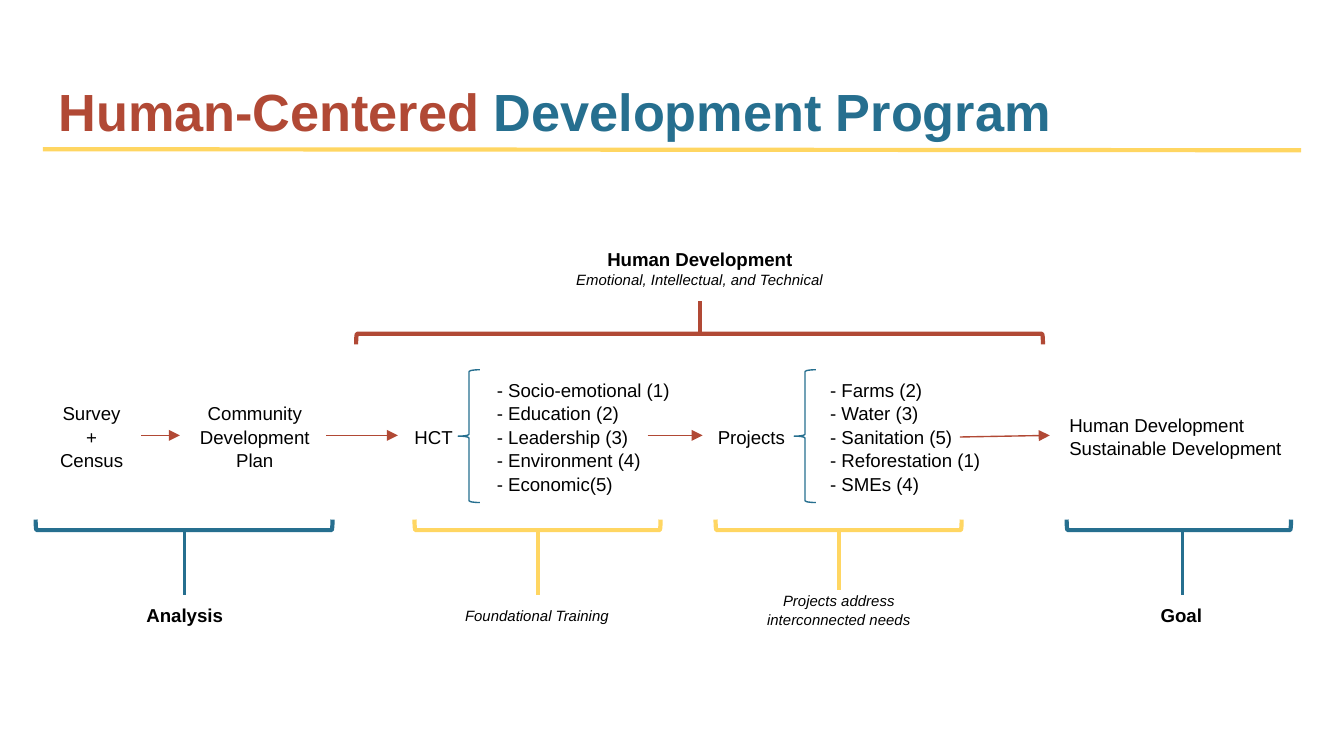
from dataclasses import dataclass

from pptx import Presentation
from pptx import util as u
from pptx.dml.color import RGBColor
from pptx.enum import shapes, text
from pptx.oxml import ns, xmlchemy


@dataclass(frozen=True)
class Theme:
    font: str = "Arial"
    black: str = "000000"
    red: str = "B14935"
    blue: str = "266F8F"
    yellow: str = "FFD662"
    title_size: int = 28
    body_size: int = 10
    note_size: int = 8
    thin: float = 0.75
    medium: float = 1.5
    thick: float = 2.25
    line_spacing: float = 1.05


THEME = Theme()
ROW_TOP, ROW_HEIGHT = 7.37, 1.75
FLOW_Y = 8.23
LOWER_BRACKET_Y = 9.92


def style_run(run, size, color=THEME.black, bold=False, italic=False):
    run.font.name = THEME.font
    run.font.size = u.Pt(size)
    run.font.color.rgb = RGBColor.from_string(color)
    run.font.bold = bold
    run.font.italic = italic


def style_line(shape, color, width):
    shape.line.color.rgb = RGBColor.from_string(color)
    shape.line.width = u.Pt(width)


def add_text(slide, left, top, width, height, content, centered=True,
             size=THEME.body_size, bold=False, italic=False):
    box = slide.shapes.add_textbox(u.Cm(left), u.Cm(top), u.Cm(width), u.Cm(height))
    frame = box.text_frame
    frame.word_wrap = True
    frame.vertical_anchor = text.MSO_ANCHOR.MIDDLE
    frame.margin_left = frame.margin_right = u.Cm(0.25)
    frame.margin_top = frame.margin_bottom = u.Cm(0.25)
    frame.text = content
    for paragraph in frame.paragraphs:
        paragraph.alignment = text.PP_ALIGN.CENTER if centered else text.PP_ALIGN.LEFT
        paragraph.line_spacing = THEME.line_spacing
        for run in paragraph.runs:
            style_run(run, size, bold=bold, italic=italic)
    return frame


def add_line(slide, start, end, color, width, arrow=False):
    points = [u.Cm(value) for value in (*start, *end)]
    connector = slide.shapes.add_connector(shapes.MSO_CONNECTOR.STRAIGHT, *points)
    style_line(connector, color, width)
    properties = connector._element.spPr
    if arrow:
        tail = xmlchemy.OxmlElement("a:tailEnd")
        tail.set("type", "triangle")
        properties.find(ns.qn("a:ln")).append(tail)
    properties.append(xmlchemy.OxmlElement("a:effectLst"))


def add_outline(slide, kind, left, top, width, height, color, weight):
    shape = slide.shapes.add_shape(kind, u.Cm(left), u.Cm(top), u.Cm(width), u.Cm(height))
    shape.shadow.inherit = False
    shape.fill.background()
    style_line(shape, color, weight)
    return shape


def add_bracket(slide, center_x, center_y, span, color, rotation=270):
    depth = 0.2
    bracket = add_outline(slide, shapes.MSO_SHAPE.LEFT_BRACKET, center_x - depth / 2,
                          center_y - span / 2, depth, span, color, THEME.thick)
    bracket.rotation = rotation


def add_title(slide):
    frame = add_text(slide, 0.86, 1.24, 23.67, 1.6, "Human-Centered ", centered=False)
    frame.vertical_anchor = text.MSO_ANCHOR.BOTTOM
    frame.margin_bottom = u.Cm(0.15)
    paragraph = frame.paragraphs[0]
    paragraph.line_spacing = 1.0
    paragraph.add_run().text = "Development Program"
    for run, color in zip(paragraph.runs, (THEME.red, THEME.blue)):
        style_run(run, THEME.title_size, color, bold=True)
    add_line(slide, (0.81, 2.82), (24.59, 2.84), THEME.yellow, THEME.thick)


def add_flow(slide):
    steps = [
        (0.69, 2.08, "Survey\n+\nCensus", True),
        (3.48, 2.67, "Community\nDevelopment\nPlan", True),
        (7.52, 1.35, "HCT", True),
        (9.14, 3.94, "- Socio-emotional (1)\n- Education (2)\n- Leadership (3)\n"
                     "- Environment (4)\n- Economic(5)", False),
        (13.16, 2.08, "Projects", True),
        (15.44, 3.94, "- Farms (2)\n- Water (3)\n- Sanitation (5)\n"
                      "- Reforestation (1)\n- SMEs (4)", False),
        (19.96, 4.78, "Human Development\nSustainable Development", False),
    ]
    for left, width, content, centered in steps:
        add_text(slide, left, ROW_TOP, width, ROW_HEIGHT, content, centered)
    for left in (8.66, 15.01):
        add_outline(slide, shapes.MSO_SHAPE.LEFT_BRACE, left, 6.99, 0.41, 2.51,
                    THEME.blue, THEME.thin)
    arrows = [(2.67, 3.4, FLOW_Y), (6.17, 7.52, FLOW_Y),
              (12.24, 13.28, FLOW_Y), (18.14, 19.84, 8.26)]
    for start_x, end_x, start_y in arrows:
        add_line(slide, (start_x, start_y), (end_x, FLOW_Y), THEME.red, THEME.thin, arrow=True)


def add_phases(slide):
    phases = [
        (3.48, 5.61, 3.48, 11.25, THEME.blue, THEME.medium),
        (10.16, 4.65, 10.16, 11.25, THEME.yellow, THEME.thick),
        (15.85, 4.65, 15.85, 11.15, THEME.yellow, THEME.thick),
        (22.28, 4.24, 22.35, 11.25, THEME.blue, THEME.medium),
    ]
    for center_x, span, stem_x, stem_end, color, width in phases:
        add_bracket(slide, center_x, LOWER_BRACKET_Y, span, color)
        add_line(slide, (stem_x, 10.02), (stem_x, stem_end), color, width)
    add_text(slide, 1.52, 11.25, 3.94, 0.74, "Analysis", bold=True)
    add_text(slide, 8.18, 11.25, 3.94, 0.74, "Foundational Training",
             size=THEME.note_size, italic=True)
    add_text(slide, 13.77, 11.15, 4.17, 0.74, "Projects address\ninterconnected needs",
             size=THEME.note_size, italic=True)
    add_text(slide, 20.24, 11.15, 4.17, 0.94, "Goal", bold=True)


def add_human_development(slide):
    frame = add_text(slide, 10.29, 4.45, 5.87, 1.22,
                     "Human Development\nEmotional, Intellectual, and Technical", bold=True)
    style_run(frame.paragraphs[1].runs[0], THEME.note_size, italic=True)
    add_bracket(slide, 13.22, 6.41, 12.98, THEME.red, rotation=90)
    add_line(slide, (13.23, 6.32), (13.23, 5.69), THEME.red, THEME.thick)


def main():
    presentation = Presentation()
    presentation.slide_width = u.Cm(25.4)
    presentation.slide_height = u.Cm(14.29)
    slide = presentation.slides.add_slide(presentation.slide_layouts[6])
    add_title(slide)
    add_flow(slide)
    add_phases(slide)
    add_human_development(slide)
    presentation.save("out.pptx")


if __name__ == "__main__":
    main()
